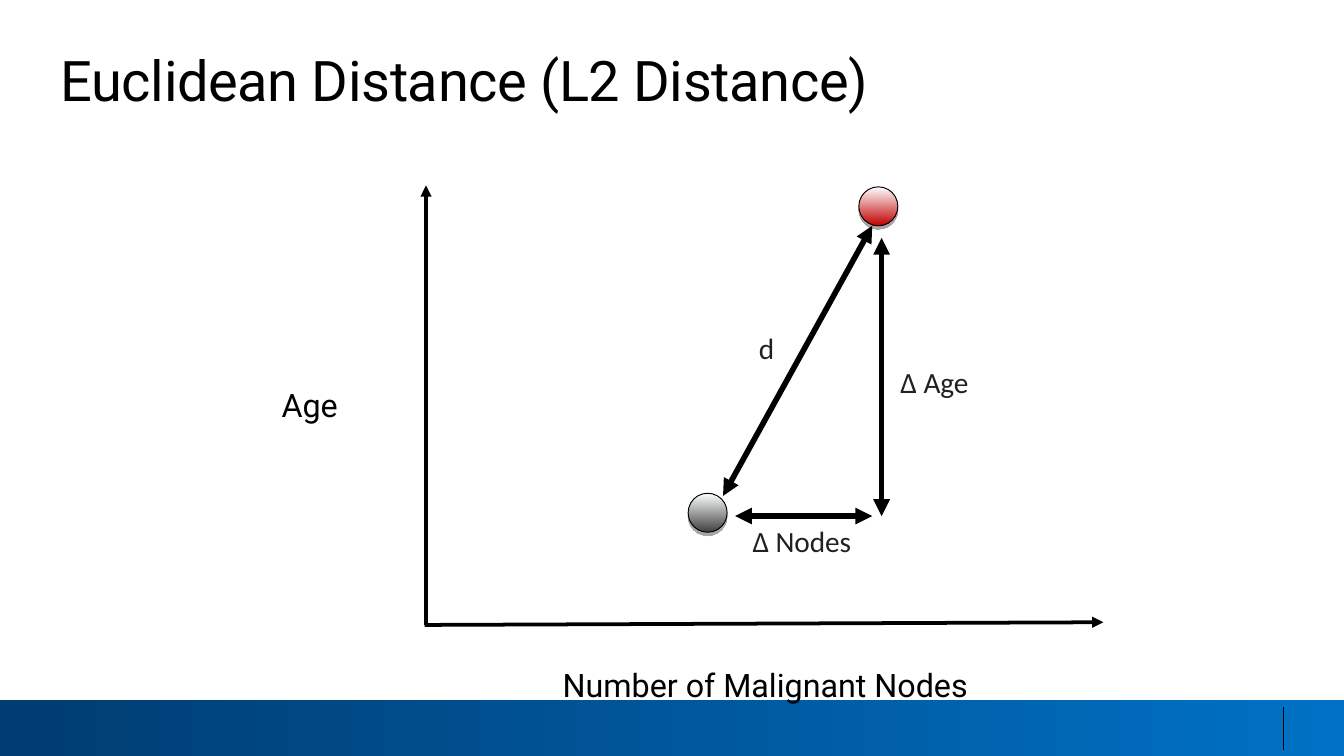
from typing import NamedTuple

from lxml.etree import SubElement
from pptx import Presentation
from pptx.dml.color import RGBColor
from pptx.enum.shapes import MSO_CONNECTOR as Connector, MSO_SHAPE as Shape
from pptx.enum.text import MSO_ANCHOR as Anchor, MSO_AUTO_SIZE as AutoSize, PP_ALIGN as Align
from pptx.oxml.ns import qn
from pptx.util import Inches, Pt

BLACK = "000000"


class TextStyle(NamedTuple):
    font: str
    size: float
    color: str
    line_spacing: float | None = None
    baseline: int = 0  # thousandths of a percent
    tracking: int = 0  # hundredths of a point


class Label(NamedTuple):
    text: str
    box: tuple[float, float, float, float]
    style: TextStyle
    align: Align = Align.LEFT


class Line(NamedTuple):
    start: tuple[float, float]
    end: tuple[float, float]
    width: float
    arrows: tuple[str, ...] = ()


class Block(NamedTuple):
    kind: Shape
    box: tuple[float, float, float, float]
    stops: tuple[str, str]
    angle: int
    outline: float = 0


def rgb(color: str) -> RGBColor:
    return RGBColor.from_string(color)


def fill_text(shape, label: Label) -> None:
    """Write a label into a text box or placeholder."""
    style, text_frame = label.style, shape.text_frame
    text_frame.text = label.text
    text_frame.word_wrap = True
    text_frame.auto_size = AutoSize.NONE
    text_frame.vertical_anchor = Anchor.TOP
    text_frame.margin_left = Inches(0.01)
    text_frame.margin_top = text_frame.margin_right = text_frame.margin_bottom = 0
    paragraph = text_frame.paragraphs[0]
    paragraph.alignment = label.align
    if style.line_spacing:
        paragraph.line_spacing = Pt(style.line_spacing)
    run = paragraph.runs[0]
    run.font.name, run.font.size = style.font, Pt(style.size)
    run.font.color.rgb = rgb(style.color)
    properties = run.font._element
    if style.baseline:
        properties.set("baseline", str(style.baseline))
    if style.tracking:
        properties.set("spc", str(style.tracking))


def add_label(slide, label: Label) -> None:
    fill_text(slide.shapes.add_textbox(*map(Inches, label.box)), label)


def add_line(slide, line: Line) -> None:
    connector = slide.shapes.add_connector(
        Connector.STRAIGHT, *map(Inches, line.start + line.end))
    connector.line.width = Pt(line.width)
    connector.line.color.rgb = rgb(BLACK)
    outline = connector.line._get_or_add_ln()
    for arrow in line.arrows:
        SubElement(outline, qn(f"a:{arrow}"), type="triangle")
    SubElement(connector._element.spPr, qn("a:effectLst"))


def add_block(slide, block: Block) -> None:
    """Draw a shape with a two-stop gradient and a hard shadow below it."""
    shape = slide.shapes.add_shape(block.kind, *map(Inches, block.box))
    shape.fill.gradient()
    shape.fill.gradient_angle = block.angle
    for stop, color in zip(shape.fill.gradient_stops, block.stops):
        stop.color.rgb = rgb(color)
    if block.outline:
        shape.line.width = Pt(block.outline)
        shape.line.color.rgb = rgb(BLACK)
    else:
        shape.line.fill.background()
    shape.shadow.inherit = False
    effects = shape._element.spPr.find(qn("a:effectLst"))
    shadow = SubElement(effects, qn("a:outerShdw"), blurRad="0", dist=str(Pt(1.8)),
                        dir="5400000", rotWithShape="0")
    shadow_color = SubElement(shadow, qn("a:srgbClr"), val=BLACK)
    SubElement(shadow_color, qn("a:alpha"), val="35000")


TITLE = TextStyle("Roboto", 30, BLACK, tracking=-20)
AXIS = TextStyle("Roboto", 17.3, BLACK, 28.5)
DELTA = TextStyle("Calibri", 27, "212121", 19.5, baseline=2000)
END, BOTH = ("tailEnd",), ("headEnd", "tailEnd")
WIDTH = 10
HEIGHT = WIDTH * 9 / 16
DOT = 0.29

BLOCKS = [
    Block(Shape.RECTANGLE, (0, 5.21, WIDTH, HEIGHT - 5.21), ("0071C5", "003C71"), 180),
    Block(Shape.OVAL, (6.39, 1.39, DOT, DOT), ("FEFFFF", "C00000"), 270, 0.5),
    Block(Shape.OVAL, (5.12, 3.67, DOT, DOT), ("FEFFFF", "404040"), 270, 0.5),
]
LINES = [
    Line((9.55, 5.26), (9.55, 5.58), 0.75),  # footer divider
    Line((3.17, 4.65), (3.17, 1.38), 2, END),  # age axis
    Line((3.16, 4.65), (8.21, 4.63), 2, END),  # nodes axis
    Line((5.38, 3.69), (6.49, 1.68), 3, BOTH),  # distance
    Line((6.56, 3.84), (6.56, 1.77), 3, BOTH),  # age difference
    Line((6.49, 3.84), (5.47, 3.84), 3, BOTH),  # nodes difference
]
LABELS = [
    Label("Number of Malignant Nodes", (3.88, 4.84, 3.62, 0.4), AXIS, Align.CENTER),
    Label("Age", (1.92, 2.76, 0.76, 0.4), AXIS, Align.CENTER),
    Label("∆ Age", (6.69, 2.74, 0.99, 0.27), DELTA),
    Label("d", (5.43, 2.49, 0.33, 0.27), DELTA, Align.RIGHT),
    Label("∆ Nodes", (5.59, 3.92, 0.9, 0.26), DELTA),
]


def main() -> None:
    presentation = Presentation()
    presentation.slide_width, presentation.slide_height = Inches(WIDTH), Inches(HEIGHT)
    slide = presentation.slides.add_slide(presentation.slide_layouts[5])

    # Title
    heading = Label("Euclidean Distance (L2 Distance)", (0.44, 0.34, 9.23, 0.5), TITLE)
    title = slide.shapes.title
    title.left, title.top, title.width, title.height = map(Inches, heading.box)
    fill_text(title, heading)

    # Footer bar and data points, then axes and distances, then their names
    for block in BLOCKS:
        add_block(slide, block)
    for line in LINES:
        add_line(slide, line)
    for label in LABELS:
        add_label(slide, label)

    presentation.save("out.pptx")


if __name__ == "__main__":
    main()
